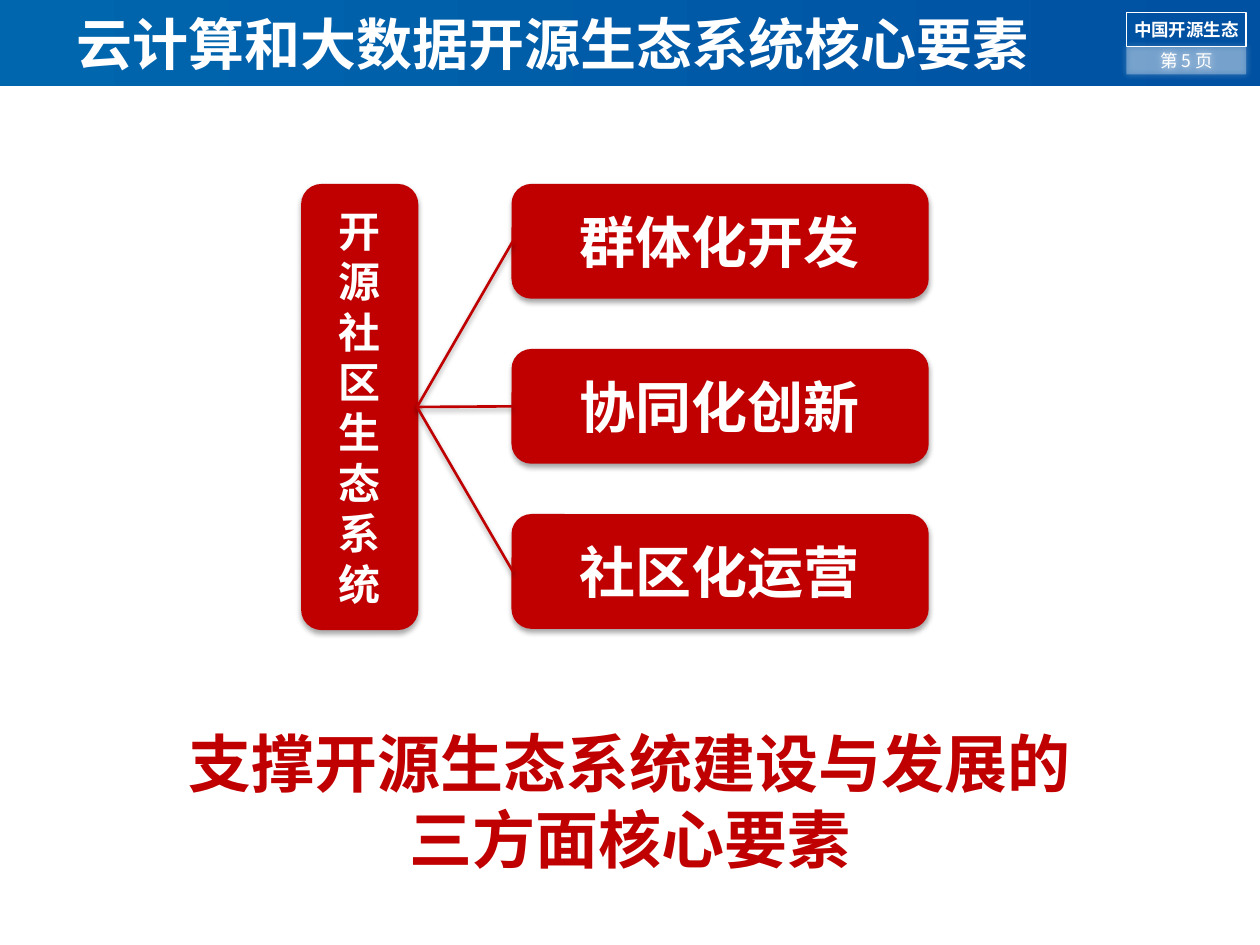
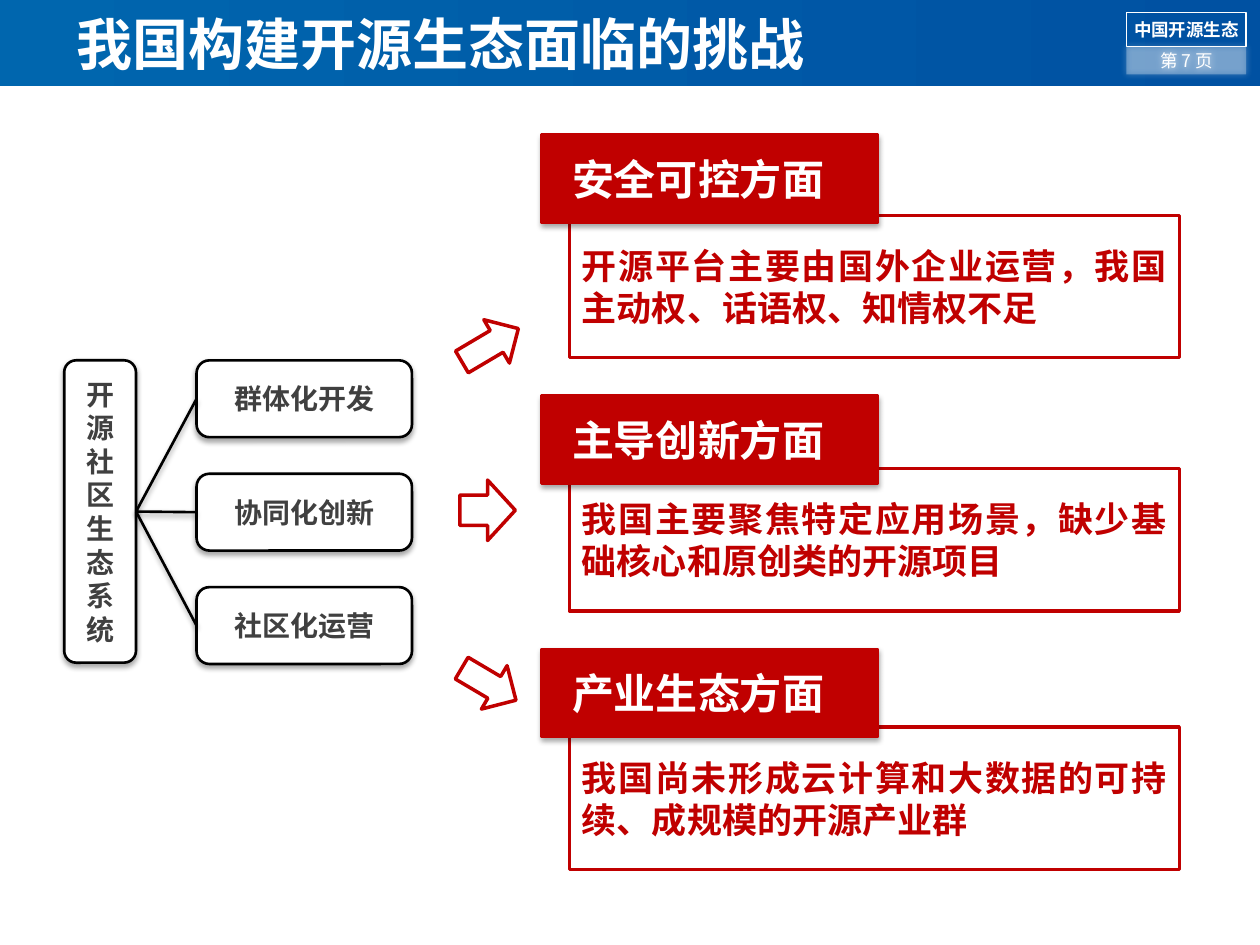
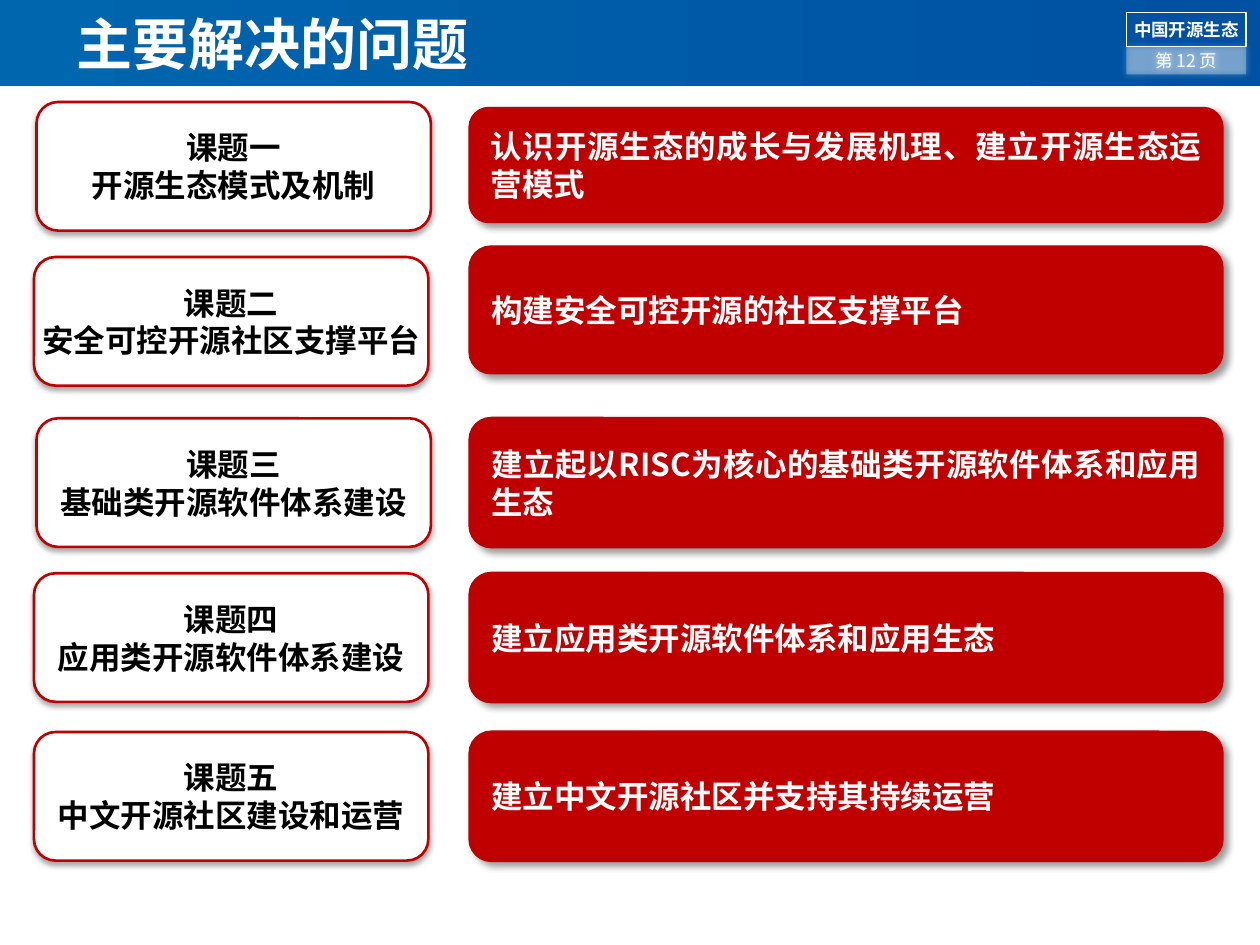
from dataclasses import dataclass

from lxml import etree
from pptx import Presentation
from pptx import util as u
from pptx.dml.color import RGBColor
from pptx.enum import shapes, text
from pptx.oxml import ns

Inches, Pt = u.Inches, u.Pt
SHAPE, ALIGN = shapes.MSO_SHAPE, text.PP_ALIGN


@dataclass(frozen=True)
class Shadow:
    color: str
    opacity: int
    blur: float
    distance: float
    angle: int


@dataclass(frozen=True)
class Theme:
    font: str = "Noto Sans CJK SC"
    red: str = "C00000"
    white: str = "FFFFFF"
    black: str = "000000"
    gray: str = "404040"
    band_start: str = "0066AE"
    band_end: str = "0051A2"
    tag_size: int = 10
    small: int = 16
    body: int = 18
    detail: int = 20
    heading: int = 24
    title: int = 32
    statement: int = 36
    soft: Shadow = Shadow("000000", 35, 3.1, 1.8, 90)
    diagonal: Shadow = Shadow("000000", 40, 4, 3, 45)
    glow: Shadow = Shadow("FFFFFF", 80, 4, 0, 0)


THEME = Theme()
SYSTEM = "开源社区生态系统"
ELEMENTS = ["群体化开发", "协同化创新", "社区化运营"]


def add_xml(parent, tag, **attributes):
    return etree.SubElement(parent, ns.qn(tag), {key: str(value) for key, value in attributes.items()})


class Deck:
    def __init__(self, theme):
        self.theme = theme
        self.presentation = Presentation()
        self.presentation.slide_width = Inches(10)
        self.presentation.slide_height = Inches(7.5)
        self.slide = None

    def start_slide(self, title, page):
        theme = self.theme
        self.slide = self.presentation.slides.add_slide(self.presentation.slide_layouts[6])
        band = self.box((0, 0, 10, 0.68), SHAPE.RECTANGLE)
        band.fill.gradient()
        band.fill.gradient_angle = 0
        for stop, color in zip(band.fill.gradient_stops, (theme.band_start, theme.band_end)):
            stop.color.rgb = RGBColor.from_string(color)
        page_tag = self.box((8.94, 0.37, 0.95, 0.22), SHAPE.RECTANGLE, fill=theme.white,
                            opacity=30, shadow=theme.glow)
        self.set_text(page_tag, [f"第 {page} 页"], theme.tag_size, theme.white, bold=False,
                      insets=(0.1, 0))
        topic_tag = self.box((8.94, 0.1, 0.95, 0.27), SHAPE.RECTANGLE, line=theme.white, width=1)
        self.set_text(topic_tag, ["中国开源生态"], theme.tag_size, theme.white, wrap=False)
        self.label((0.51, 0, 8.43, 0.68), [title], theme.title, theme.white, ALIGN.LEFT)

    def box(self, place, kind=SHAPE.ROUNDED_RECTANGLE, fill=None, line=None, width=1.5,
            shadow=None, opacity=None):
        shape = self.slide.shapes.add_shape(kind, *map(Inches, place))
        if fill:
            shape.fill.solid()
            shape.fill.fore_color.rgb = RGBColor.from_string(fill)
            if opacity:
                color = shape._element.spPr.find(f".//{ns.qn('a:srgbClr')}")
                add_xml(color, "a:alpha", val=opacity * 1000)
        else:
            shape.fill.background()
        if line:
            shape.line.color.rgb = RGBColor.from_string(line)
            shape.line.width = Pt(width)
        else:
            shape.line.fill.background()
        shape.shadow.inherit = False
        if shadow:
            self.cast(shape._element.spPr.find(ns.qn("a:effectLst")), shadow)
        return shape

    def cast(self, effects, shadow):
        """Put an outer shadow into an effect list."""
        outer = add_xml(effects, "a:outerShdw", blurRad=Pt(shadow.blur),
                        dist=Pt(shadow.distance), dir=shadow.angle * 60000, rotWithShape=0)
        color = add_xml(outer, "a:srgbClr", val=shadow.color)
        add_xml(color, "a:alpha", val=shadow.opacity * 1000)

    def set_text(self, shape, lines, size, color, align=ALIGN.CENTER, bold=True,
                 insets=(0.1, 0.05), left=None, wrap=True):
        frame = shape.text_frame
        frame.text = "\n".join(lines)
        frame.word_wrap = wrap
        frame.vertical_anchor = text.MSO_ANCHOR.MIDDLE
        side, edge = map(Inches, insets)
        frame.margin_left = side if left is None else Inches(left)
        frame.margin_right = side
        frame.margin_top = frame.margin_bottom = edge
        for paragraph in frame.paragraphs:
            paragraph.alignment = align
            for run in paragraph.runs:
                run.font.name = self.theme.font
                run.font.size = Pt(size)
                run.font.bold = bold
                run.font.color.rgb = RGBColor.from_string(color)
                add_xml(run.font._element, "a:ea", typeface=self.theme.font)

    def label(self, place, lines, size, color, align=ALIGN.CENTER):
        shape = self.slide.shapes.add_textbox(*map(Inches, place))
        self.set_text(shape, lines, size, color, align)

    def connect(self, branch, trunk, color):
        """Join the left side of a branch to the right side of the trunk."""
        connector = self.slide.shapes.add_connector(shapes.MSO_CONNECTOR.STRAIGHT, 0, 0, 0, 0)
        connector.begin_connect(branch, 1)
        connector.end_connect(trunk, 3)
        connector.line.color.rgb = RGBColor.from_string(color)
        connector.line.width = Pt(1.5)
        self.cast(add_xml(connector._element.spPr, "a:effectLst"), self.theme.soft)

    def tree(self, trunk_place, branch_place, step, fill, line, color, trunk_size, branch_size):
        """Draw the ecosystem trunk with its elements stacked at an equal step."""
        style = dict(fill=fill, line=line, shadow=self.theme.soft)
        left, top, width, height = branch_place
        branches = []
        for index, element in enumerate(ELEMENTS):
            branch = self.box((left, top + index * step, width, height), **style)
            self.set_text(branch, [element], branch_size, color)
            branches.append(branch)
        trunk = self.box(trunk_place, **style)
        self.set_text(trunk, [SYSTEM], trunk_size, color)
        for branch in branches:
            self.connect(branch, trunk, line)

    def arrow(self, place, rotation):
        shape = self.box(place, SHAPE.RIGHT_ARROW, self.theme.white, self.theme.red, 2)
        shape.rotation = rotation

    def challenge(self, heading, detail, heading_top, detail_top):
        theme = self.theme
        panel = self.box((4.52, detail_top, 4.84, 1.13), SHAPE.RECTANGLE, theme.white, theme.red, 2)
        self.set_text(panel, [detail], theme.detail, theme.red, ALIGN.JUSTIFY, insets=(0.1, 0.08))
        header = self.box((4.3, heading_top, 2.67, 0.7), SHAPE.RECTANGLE, theme.red, theme.red,
                          shadow=theme.soft)
        self.set_text(header, [heading], theme.heading, theme.white, ALIGN.LEFT, left=0.24)

    def topic(self, name, subject, goal, topic_place, goal_place):
        theme = self.theme
        goal_box = self.box(goal_place, fill=theme.red, line=theme.red, width=1.75,
                            shadow=theme.diagonal)
        self.set_text(goal_box, [goal], theme.body, theme.white, ALIGN.JUSTIFY, insets=(0.12, 0.05))
        topic_box = self.box(topic_place, fill=theme.white, line=theme.red, shadow=theme.soft)
        self.set_text(topic_box, [name, subject], theme.body, theme.black, wrap=False)


def core_elements(deck):
    theme = deck.theme
    deck.start_slide("云计算和大数据开源生态系统核心要素", 5)
    deck.label((0, 5.72, 10, 1.26), ["支撑开源生态系统建设与发展的", "三方面核心要素"],
               theme.statement, theme.red)
    deck.tree((2.4, 1.47, 0.91, 3.52), (4.07, 1.47, 3.29, 0.89), 1.31,
              theme.red, theme.red, theme.white, theme.heading, theme.title)


def challenges(deck):
    theme = deck.theme
    deck.start_slide("我国构建开源生态面临的挑战", 7)
    deck.tree((0.51, 2.86, 0.57, 2.4), (1.56, 2.86, 1.71, 0.61), 0.9,
              theme.white, theme.black, theme.gray, theme.small, theme.small)
    deck.arrow((3.63, 2.54, 0.52, 0.4), 329.4)
    deck.arrow((3.65, 3.81, 0.44, 0.48), 0)
    deck.arrow((3.63, 5.23, 0.5, 0.4), 30.6)
    for challenge in [
        ("安全可控方面", "开源平台主要由国外企业运营，我国主动权、话语权、知情权不足", 1.07, 1.71),
        ("主导创新方面", "我国主要聚焦特定应用场景，缺少基础核心和原创类的开源项目", 3.14, 3.72),
        ("产业生态方面", "我国尚未形成云计算和大数据的可持续、成规模的开源产业群", 5.15, 5.77),
    ]:
        deck.challenge(*challenge)


def problems(deck):
    deck.start_slide("主要解决的问题", 12)
    for name, subject, goal, left, top, goal_top, goal_height in [
        ("课题一", "开源生态模式及机制", "认识开源生态的成长与发展机理、建立开源生态运营模式",
         0.29, 0.81, 0.86, 0.9),
        ("课题二", "安全可控开源社区支撑平台", "构建安全可控开源的社区支撑平台",
         0.27, 2.04, 1.96, 1),
        ("课题三", "基础类开源软件体系建设", "建立起以RISC为核心的基础类开源软件体系和应用生态",
         0.29, 3.32, 3.32, 1.02),
        ("课题四", "应用类开源软件体系建设", "建立应用类开源软件体系和应用生态",
         0.27, 4.55, 4.55, 1.02),
        ("课题五", "中文开源社区建设和运营", "建立中文开源社区并支持其持续运营",
         0.27, 5.81, 5.81, 1.02),
    ]:
        deck.topic(name, subject, goal, (left, top, 3.13, 1.02), (3.73, goal_top, 5.97, goal_height))


def main():
    deck = Deck(THEME)
    core_elements(deck)
    challenges(deck)
    problems(deck)
    deck.presentation.save("out.pptx")


if __name__ == "__main__":
    main()
